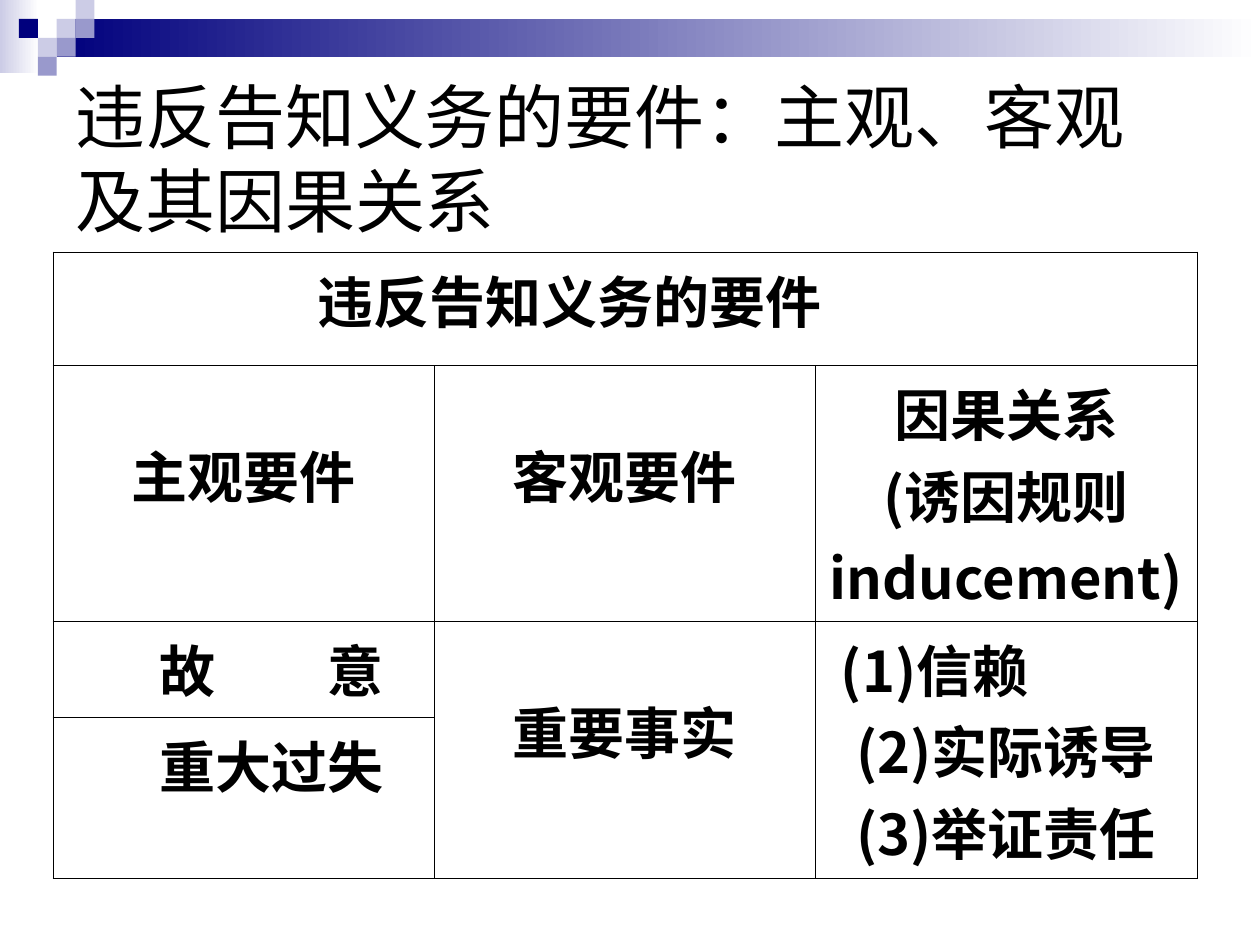
from lxml import etree
from pptx import Presentation
from pptx.dml.color import RGBColor
from pptx.enum.shapes import MSO_SHAPE as SHAPE
from pptx.enum.text import MSO_ANCHOR as ANCHOR, PP_ALIGN as ALIGN
from pptx.oxml.ns import qn
from pptx.util import Inches, Pt

NAVY, MID, PALE, WHITE, BLACK = "00007D", "9999CC", "CCCCE6", "FFFFFF", "000000"
CJK = "Noto Sans CJK SC"


def rgb(value):
    return RGBColor.from_string(value)


def add_rect(slide, x, y, w, h, color, fade_to=None):
    sp = slide.shapes.add_shape(SHAPE.RECTANGLE, Inches(x), Inches(y), Inches(w), Inches(h))
    sp.shadow.inherit = False
    sp.line.fill.background()
    if fade_to:
        sp.fill.gradient()
        sp.fill.gradient_angle = 0
        for stop, shade in zip(sp.fill.gradient_stops, (color, fade_to)):
            stop.color.rgb = rgb(shade)
    else:
        sp.fill.solid()
        sp.fill.fore_color.rgb = rgb(color)


def style_paragraph(p, size, font, bold=False):
    p.font.size, p.font.bold, p.font.name = Pt(size), bold, font
    p.font.color.rgb = rgb(BLACK)
    for r in p.runs:
        r.font.size, r.font.bold, r.font.name = Pt(size), bold, font
        r.font.color.rgb = rgb(BLACK)
        etree.SubElement(r.font._element, qn("a:ea")).set("typeface", font)


def add_banner(slide, x, y):
    """Fading bars with a checker of small squares at the left."""
    add_rect(slide, x, y, 0.31, 0.58, PALE, WHITE)
    add_rect(slide, x + 0.45, y + 0.15, 9.55, 0.3, NAVY, WHITE)
    unit = 0.15
    squares = [(3, 1, PALE), (4, 0, PALE), (4, 1, MID), (2, 2, PALE),
               (1, 1, NAVY), (3, 2, MID), (2, 3, MID)]
    for col, row, color in squares:
        add_rect(slide, x + col * unit, y + row * unit, unit, unit, color)


def add_title(slide, x, y, w, h, text):
    tf = slide.shapes.add_textbox(Inches(x), Inches(y), Inches(w), Inches(h)).text_frame
    tf.word_wrap = True
    tf.vertical_anchor = ANCHOR.MIDDLE
    p = tf.paragraphs[0]
    p.text = text
    style_paragraph(p, 40, "Arial")


def set_borders(cell, color, width):
    tcPr = cell._tc.get_or_add_tcPr()
    for i, side in enumerate(("a:lnL", "a:lnR", "a:lnT", "a:lnB")):
        ln = etree.Element(qn(side), w=str(Pt(width)))
        fill = etree.SubElement(ln, qn("a:solidFill"))
        etree.SubElement(fill, qn("a:srgbClr"), val=color)
        tcPr.insert(i, ln)


def fill_cell(cell, lines, align=ALIGN.CENTER, left=0.1, top=0.05):
    cell.margin_left, cell.margin_top = Inches(left), Inches(top)
    cell.text_frame.text = "\n".join(lines)
    for p in cell.text_frame.paragraphs:
        p.alignment = align
        style_paragraph(p, 32, CJK, bold=True)


def add_requirements_table(slide, x, y, w, row_heights):
    table = slide.shapes.add_table(len(row_heights), 3, Inches(x), Inches(y), Inches(w),
                                   Inches(sum(row_heights))).table
    table.first_row = table.horz_banding = False
    for col in table.columns:
        col.width = Inches(w / 3)
    for row, height in zip(table.rows, row_heights):
        row.height = Inches(height)
    for cell in table.iter_cells():
        cell.fill.background()
        set_borders(cell, BLACK, 0.45)

    # Merged areas
    table.cell(0, 0).merge(table.cell(0, 2))
    for col in (1, 2):
        table.cell(2, col).merge(table.cell(3, col))

    # Wording
    lowered, indented = 0.54, 0.54
    fill_cell(table.cell(0, 0), ["违反告知义务的要件"], ALIGN.LEFT, left=2.1)
    fill_cell(table.cell(1, 0), ["主观要件"], top=lowered)
    fill_cell(table.cell(1, 1), ["客观要件"], top=lowered)
    fill_cell(table.cell(1, 2), ["因果关系", "(诱因规则", "inducement)"])
    fill_cell(table.cell(2, 0), ["故　　意"], left=indented)
    fill_cell(table.cell(3, 0), ["重大过失"], left=indented)
    fill_cell(table.cell(2, 1), ["重要事实"], top=lowered)
    fill_cell(table.cell(2, 2), [" (1)信赖", "(2)实际诱导", "(3)举证责任"])
    table.cell(2, 2).text_frame.paragraphs[0].alignment = ALIGN.LEFT


def main():
    prs = Presentation()
    prs.slide_width, prs.slide_height = Inches(10), Inches(7.5)
    slide = prs.slides.add_slide(prs.slide_layouts[6])
    add_banner(slide, 0, 0)
    add_title(slide, 0.5, 0.5, 9, 1.5, "违反告知义务的要件：主观、客观及其因果关系")
    # The last two rows together hold the three-line list
    add_requirements_table(slide, 0.42, 2, 9.08, [0.9, 2.03, 0.76, 1.28])
    prs.save("out.pptx")


if __name__ == "__main__":
    main()
